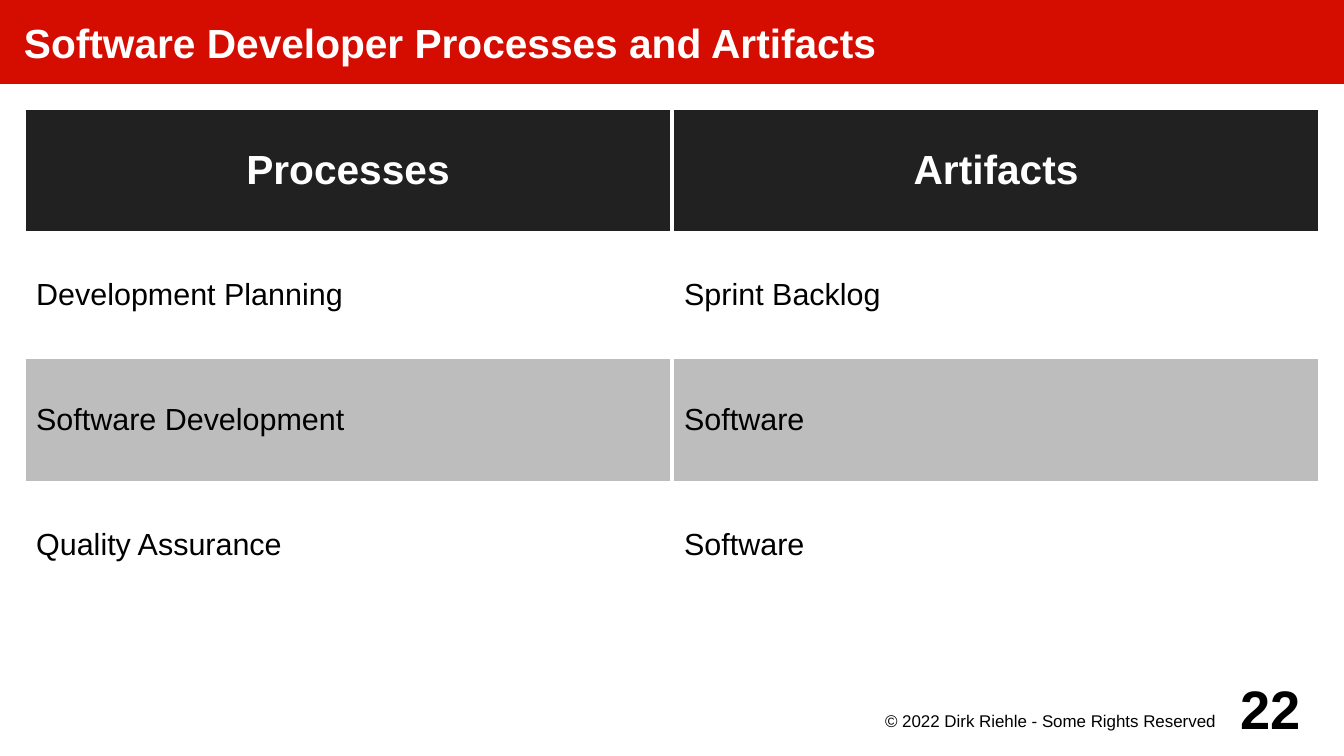
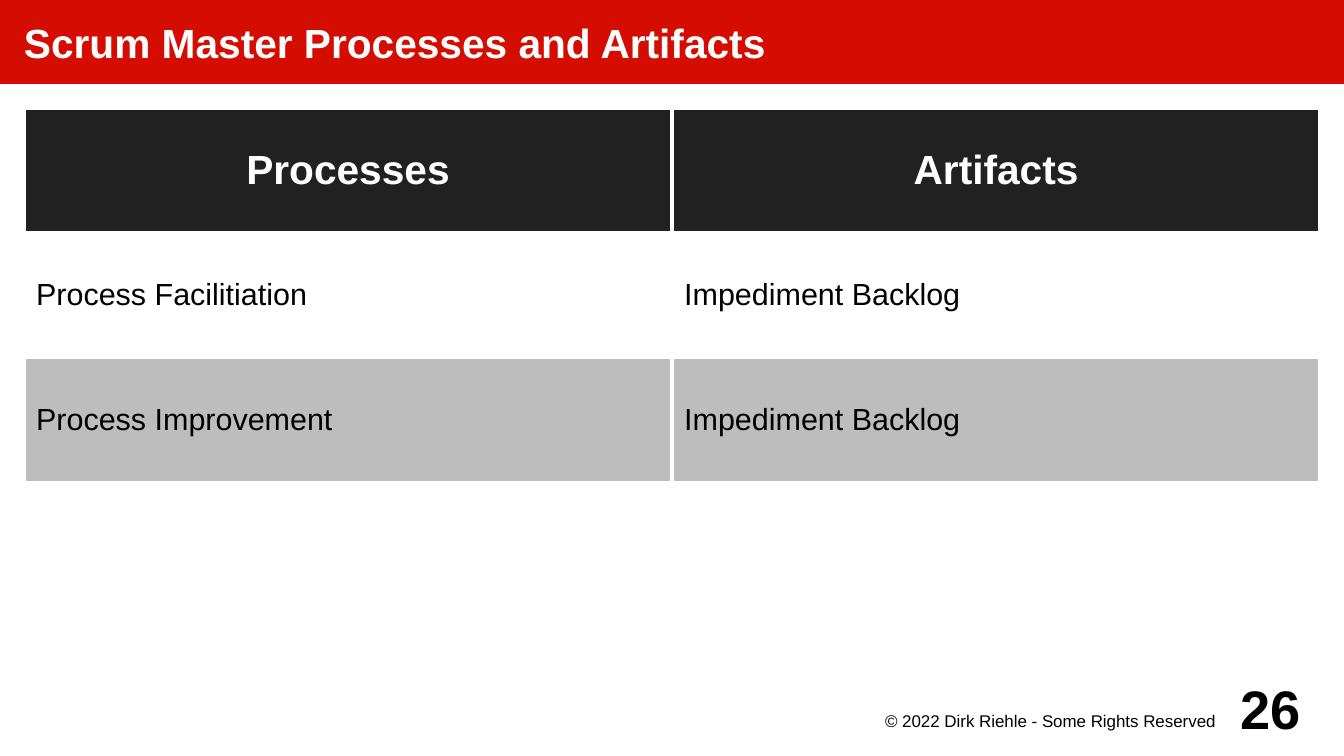
from lxml.etree import SubElement
from pptx import Presentation
from pptx.dml.color import RGBColor
from pptx.enum.text import MSO_ANCHOR, MSO_AUTO_SIZE, PP_ALIGN
from pptx.oxml.ns import qn
from pptx.util import Cm, Pt

COLORS = {
    "band": "D50D01",
    "header": "212121",
    "stripe": "BDBDBD",
    "white": "FFFFFF",
    "black": "000000",
}
FORMATS = {
    "title": {"size": Pt(24), "bold": True, "color": "white", "align": PP_ALIGN.LEFT},
    "header": {"size": Pt(24), "bold": True, "color": "white", "align": PP_ALIGN.CENTER},
    "body": {"size": Pt(18), "bold": False, "color": "black", "align": PP_ALIGN.LEFT},
    "footer": {"size": Pt(10), "bold": False, "color": "black", "align": PP_ALIGN.RIGHT},
    "number": {"size": Pt(32), "bold": True, "color": "black", "align": PP_ALIGN.RIGHT},
}
FOOTER = "© 2022 Dirk Riehle - Some Rights Reserved"
HEADINGS = ("Processes", "Artifacts")
ROW_COUNT = 5
ROW_FILLS = ("header", "white", "stripe", "white", "white")
PAGES = [
    {
        "title": "Software Developer Processes and Artifacts",
        "number": "22",
        "rows": [
            ("Development Planning", "Sprint Backlog"),
            ("Software Development", "Software"),
            ("Quality Assurance", "Software"),
        ],
    },
    {
        "title": "Scrum Master Processes and Artifacts",
        "number": "26",
        "rows": [
            ("Process Facilitiation", "Impediment Backlog"),
            ("Process Improvement", "Impediment Backlog"),
        ],
    },
]


def write_text(frame, text, kind):
    style = FORMATS[kind]
    para = frame.paragraphs[0]
    para.alignment = style["align"]
    span = para.add_run()
    span.text = text
    span.font.name = "Arial"
    for name in ("size", "bold"):
        setattr(span.font, name, style[name])
    span.font.color.rgb = RGBColor.from_string(COLORS[style["color"]])


def set_frame(frame, anchor, left=0, top=0, right=0):
    settings = {
        "word_wrap": True,
        "auto_size": MSO_AUTO_SIZE.NONE,
        "vertical_anchor": anchor,
        "margin_left": Cm(left),
        "margin_top": Cm(top),
        "margin_right": Cm(right),
        "margin_bottom": Cm(0),
    }
    for name, value in settings.items():
        setattr(frame, name, value)


deck = Presentation()
deck.slide_width = Cm(28)
deck.slide_height = Cm(15.75)
title_only = deck.slide_layouts[5]

for content in PAGES:
    page = deck.slides.add_slide(title_only)

    title = page.shapes.title
    title.left, title.top, title.width, title.height = Cm(0), Cm(0), Cm(28), Cm(1.75)
    title.fill.solid()
    title.fill.fore_color.rgb = RGBColor.from_string(COLORS["band"])
    set_frame(title.text_frame, MSO_ANCHOR.MIDDLE, left=0.5)
    write_text(title.text_frame, content["title"], "title")

    table = page.shapes.add_table(
        ROW_COUNT, len(HEADINGS), Cm(0.5), Cm(2.25), Cm(27), Cm(13)
    ).table
    rows = [HEADINGS] + content["rows"]
    for row_index, fill_name in enumerate(ROW_FILLS):
        for column_index in range(len(HEADINGS)):
            cell = table.cell(row_index, column_index)
            cell.vertical_anchor = MSO_ANCHOR.MIDDLE
            properties = cell._tc.get_or_add_tcPr()
            for side in ("lnL", "lnR", "lnT", "lnB"):
                border = SubElement(properties, qn(f"a:{side}"), w=str(Pt(2.27)))
                paint = SubElement(border, qn("a:solidFill"))
                SubElement(paint, qn("a:srgbClr"), val=COLORS["white"])
            cell.fill.solid()
            cell.fill.fore_color.rgb = RGBColor.from_string(COLORS[fill_name])
            if row_index < len(rows):
                kind = "header" if row_index == 0 else "body"
                write_text(cell.text_frame, rows[row_index][column_index], kind)

    footer = page.shapes.add_textbox(Cm(18), Cm(14.75), Cm(8), Cm(0.75))
    set_frame(footer.text_frame, MSO_ANCHOR.TOP, top=0.05, right=0.68)
    write_text(footer.text_frame, FOOTER, "footer")

    number = page.shapes.add_textbox(Cm(25.5), Cm(14), Cm(2), Cm(1.5))
    set_frame(number.text_frame, MSO_ANCHOR.MIDDLE, right=0.4)
    write_text(number.text_frame, content["number"], "number")

deck.save("out.pptx")
